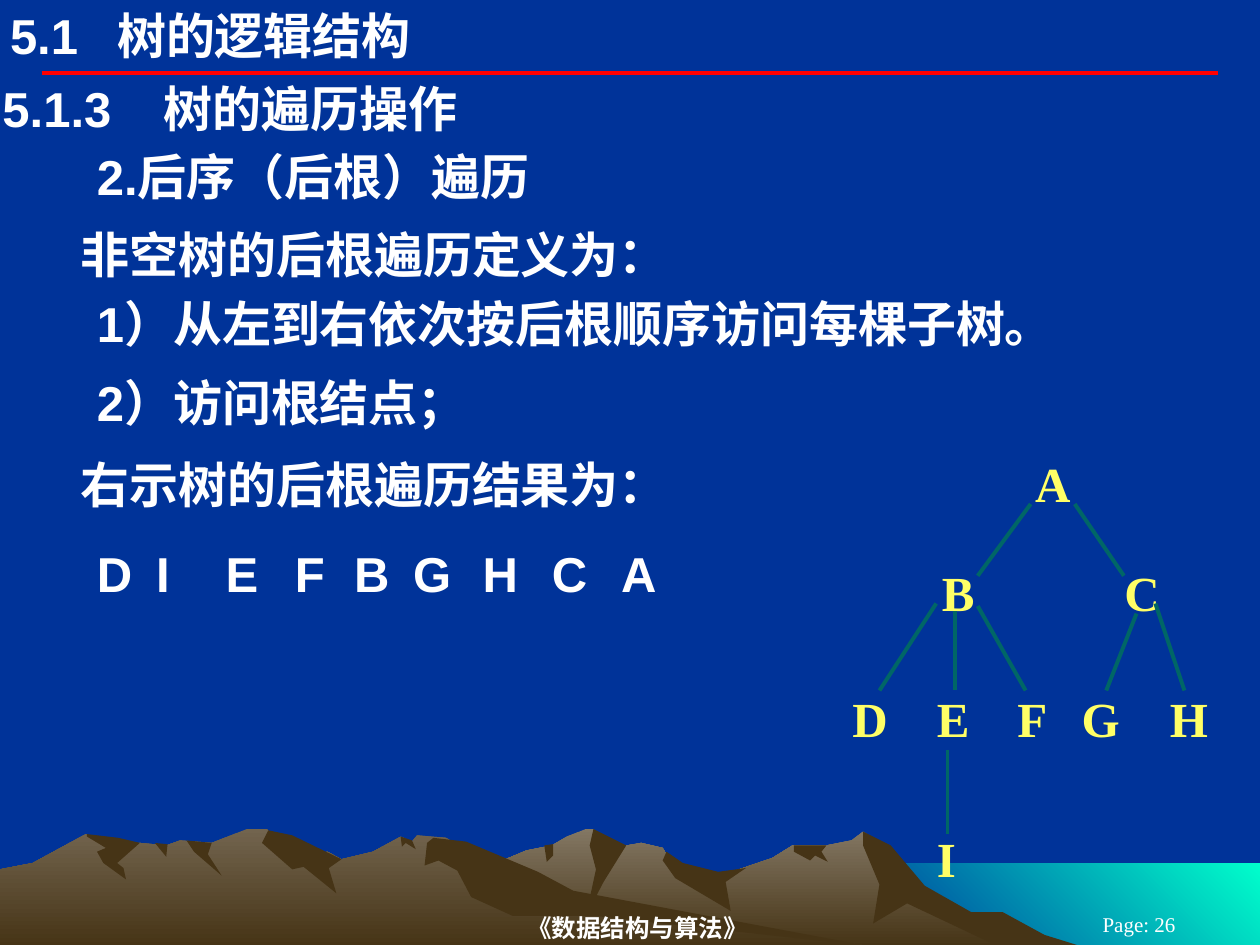
"""Build the slide on post-order tree traversal, with a mountain footer."""
from itertools import accumulate
from lxml.etree import SubElement
from pptx import Presentation
from pptx.dml.color import RGBColor as Rgb
from pptx.enum.shapes import MSO_CONNECTOR as Link, MSO_SHAPE as Shape
from pptx.enum.text import MSO_ANCHOR as Anchor, PP_ALIGN as Align
from pptx.oxml.ns import qn
from pptx.util import Cm, Pt

COLORS = {
    "sky": "003399", "sea": "00FFCC", "far": "837763", "near": "72644E", "rock": "463416",
    "rule": "FF0000", "branch": "006666", "node": "FFFF66", "text": "FFFFFF",
}
SANS, SERIF = "Arial", "Times New Roman"

HEADING_LEFT, LATIN_INDENT, CHINESE_INDENT = 0, 0.75, 0.62
BODY_LINES = [
    ("5.1.3\t树的遍历操作", 0.61, HEADING_LEFT),
    ("2.后序（后根）遍历", 1.15, LATIN_INDENT),
    ("非空树的后根遍历定义为：", 1.77, CHINESE_INDENT),
    ("1）从左到右依次按后根顺序访问每棵子树。", 2.32, LATIN_INDENT),
    ("2）访问根结点；", 2.95, LATIN_INDENT),
    ("右示树的后根遍历结果为：", 3.6, CHINESE_INDENT),
]

ROOT = "A"
CHILDREN = {"A": "BC", "B": "DEF", "C": "GH", "E": "I"}
NODE_LEFT = {
    "A": 8.1, "B": 7.36, "C": 8.81, "D": 6.65, "E": 7.32, "F": 7.96, "G": 8.47, "H": 9.17, "I": 7.24,
}
LEVEL_TOP = [3.6, 4.46, 5.46, 6.57]
BRANCH_END = [None, 4.57, 5.48, 6.62]
BRANCH_TO = {
    "B": (8.18, 4, 7.76), "C": (8.53, 4, 8.92), "D": (7.43, 4.79, 6.98), "E": (7.58, 4.85, 7.58),
    "F": (7.76, 4.81, 8.14), "G": (9.02, 4.87, 8.78), "H": (9.17, 4.79, 9.4), "I": (7.52, 5.95, 7.52),
}
NODE_SIZE = 0.51, 0.49
RESULT_LEFT, RESULT_TOP, RESULT_SIZE = 0.75, 4.3, (0.47, 0.96)
WIDE_STEP, NARROW_STEP, NARROW_AFTER = 0.55, 0.47, "DFB"

GROUND = 751
SKYLINES = {
    "far": [(258, GROUND), (327, 709), (355, 698), (394, 685), (418, 675), (438, 671), (450, 664),
            (465, 658), (471, 658), (486, 673), (509, 669), (526, 673), (536, 690), (566, 697),
            (613, 681), (629, 671), (656, 671), (676, 667), (685, 660), (702, 671), (723, 698),
            (764, 723), (778, 727), (821, GROUND)],
    "near": [(0, GROUND), (0, 690), (26, 685), (68, 662), (94, 671), (111, 669), (132, 671),
             (143, 667), (168, 669), (196, 658), (212, 658), (236, 681), (260, 676), (271, 682),
             (296, 676), (318, 664), (327, 668), (331, 663), (354, 665), (432, 712), (690, GROUND)],
}
SHADOWS = {
    "far": {
        "coast": [(685, 660), (707, 671), (734, 703), (771, 724), (796, 724), (829, 742),
                  (858, GROUND), (792, GROUND), (720, 717), (693, 733), (698, 702), (685, 671)],
        "summit": [(471, 658), (497, 671), (479, 700), (465, 727), (473, 690), (468, 671)],
        "shoulder": [(529, 676), (542, 685), (570, 692), (592, 689), (576, 700), (580, 723),
                     (536, 697), (526, 683)],
        "saddle": [(630, 671), (656, 671), (652, 676), (657, 684), (647, 679), (643, 683), (630, 676)],
        "notch": [(432, 671), (439, 670), (439, 679), (434, 684)],
    },
    "near": {
        "peak": [(213, 659), (232, 663), (271, 682), (261, 689), (267, 709), (241, 688),
                 (232, 690), (208, 669)],
        "foothill": [(344, 665), (370, 668), (427, 692), (455, 707), (690, GROUND), (472, 727),
                     (407, 727), (374, 712), (363, 691), (348, 683), (337, 687), (339, 669)],
        "gully": [(318, 664), (327, 667), (330, 674), (322, 669), (319, 672)],
        "ravine": [(148, 667), (168, 669), (165, 678), (176, 695), (154, 676)],
        "dent": [(123, 669), (133, 670), (132, 680)],
        "cliff": [(69, 662), (94, 665), (111, 669), (93, 685), (98, 689), (100, 698), (82, 685),
                  (77, 676), (84, 673), (69, 664)],
    },
}


def inch(value):
    return Cm(value * 2.54)


def color(name):
    return Rgb.from_string(COLORS[name])


def paint(shape, first, last=None, angle=90):
    shape.shadow.inherit = False
    shape.line.fill.background()
    if last is None:
        shape.fill.solid()
        shape.fill.fore_color.rgb = color(first)
        return
    shape.fill.gradient()
    shape.fill.gradient_angle = 360 - angle
    for stop, name in zip(shape.fill.gradient_stops, (first, last)):
        stop.color.rgb = color(name)


def add_outline(page, points):
    builder = page.shapes.build_freeform(*points[0], scale=inch(1) / 100)
    builder.add_line_segments(points[1:], close=True)
    return builder.convert_to_shape()


def draw_landscape(page):
    sea = page.shapes.add_shape(Shape.RECTANGLE, *map(inch, (6.83, 6.85, 3.17, 0.67)))
    paint(sea, "sea", "sky", angle=135)
    for mountain, skyline in SKYLINES.items():
        paint(add_outline(page, skyline), mountain, "rock")
        for shadow in SHADOWS[mountain].values():
            paint(add_outline(page, shadow), "rock")


def draw_line(page, ends, name):
    line = page.shapes.add_connector(Link.STRAIGHT, *map(inch, ends))
    line.line.color.rgb = color(name)
    line.line.width = Pt(2.25)
    SubElement(line._element.spPr, qn("a:effectLst"))


def fill_text(box, text, font, size=28, bold=True, name="text", insets=(0.02, 0.01, 0.02, 0.01),
              align=Align.LEFT, anchor=Anchor.TOP, indent=0, tab=None, spacing=None):
    frame = box.text_frame
    frame.text = text
    frame.word_wrap = True
    frame.vertical_anchor = anchor
    frame.margin_left, frame.margin_top, frame.margin_right, frame.margin_bottom = map(inch, insets)
    para = frame.paragraphs[0]
    para.alignment = align
    para.line_spacing = spacing
    properties = para._p.get_or_add_pPr()
    if indent:
        properties.set("marL", str(inch(indent)))
    if tab:
        tabs = SubElement(properties, qn("a:tabLst"))
        SubElement(tabs, qn("a:tab"), pos=str(inch(tab)), algn="l")
    for span in para.runs:
        span.font.name, span.font.size, span.font.bold = font, Pt(size), bold
        span.font.color.rgb = color(name)


def add_text(page, place, text, font=SANS, **style):
    fill_text(page.shapes.add_textbox(*map(inch, place)), text, font, **style)


def add_footer(page):
    centred = {"align": Align.CENTER, "anchor": Anchor.MIDDLE}
    add_text(page, (2.08, 7.22, 6.06, 0.28), "《数据结构与算法》", SERIF, size=14,
             insets=(0, 0.01, 0.1, 0.01), **centred)
    add_text(page, (8.25, 7.25, 1.58, 0.17), "Page: 26", SERIF, size=12, bold=False,
             insets=(0.1, 0.05, 0.1, 0.05), **centred)


def draw_tree(page, letter, level=0):
    place = NODE_LEFT[letter], LEVEL_TOP[level], *NODE_SIZE
    node = page.shapes.add_shape(Shape.OVAL, *map(inch, place))
    node.shadow.inherit = False
    node.fill.background()
    node.line.fill.background()
    inset = 0.12 if letter == "I" else 0.04
    fill_text(node, letter, SERIF, name="node", insets=(inset, 0.02, 0.04, 0.04), spacing=0.8)
    for child in CHILDREN.get(letter, ""):
        draw_line(page, (*BRANCH_TO[child], BRANCH_END[level + 1]), "branch")
        draw_tree(page, child, level + 1)


def post_order(letter):
    return "".join(map(post_order, CHILDREN.get(letter, ""))) + letter


def add_result(page):
    visits = post_order(ROOT)
    steps = [NARROW_STEP if letter in NARROW_AFTER else WIDE_STEP for letter in visits[:-1]]
    for letter, left in zip(visits, accumulate(steps, initial=RESULT_LEFT)):
        add_text(page, (left, RESULT_TOP, *RESULT_SIZE), letter)


def main():
    deck = Presentation()
    deck.slide_width, deck.slide_height = inch(10), inch(7.5)
    page = deck.slides.add_slide(deck.slide_layouts[6])
    page.background.fill.solid()
    page.background.fill.fore_color.rgb = color("sky")
    draw_landscape(page)
    draw_line(page, (0.33, 0.58, 9.67, 0.58), "rule")
    add_footer(page)
    add_text(page, (0.08, 0.04, 6.5, 0.47), "5.1\t树的逻辑结构", insets=(0, 0, 0, 0), tab=0.85)
    for text, top, indent in BODY_LINES:
        add_text(page, (0, top, 10, 0.49), text, indent=indent, tab=1.28 if "\t" in text else None)
    draw_tree(page, ROOT)
    add_result(page)
    deck.save("out.pptx")


if __name__ == "__main__":
    main()
